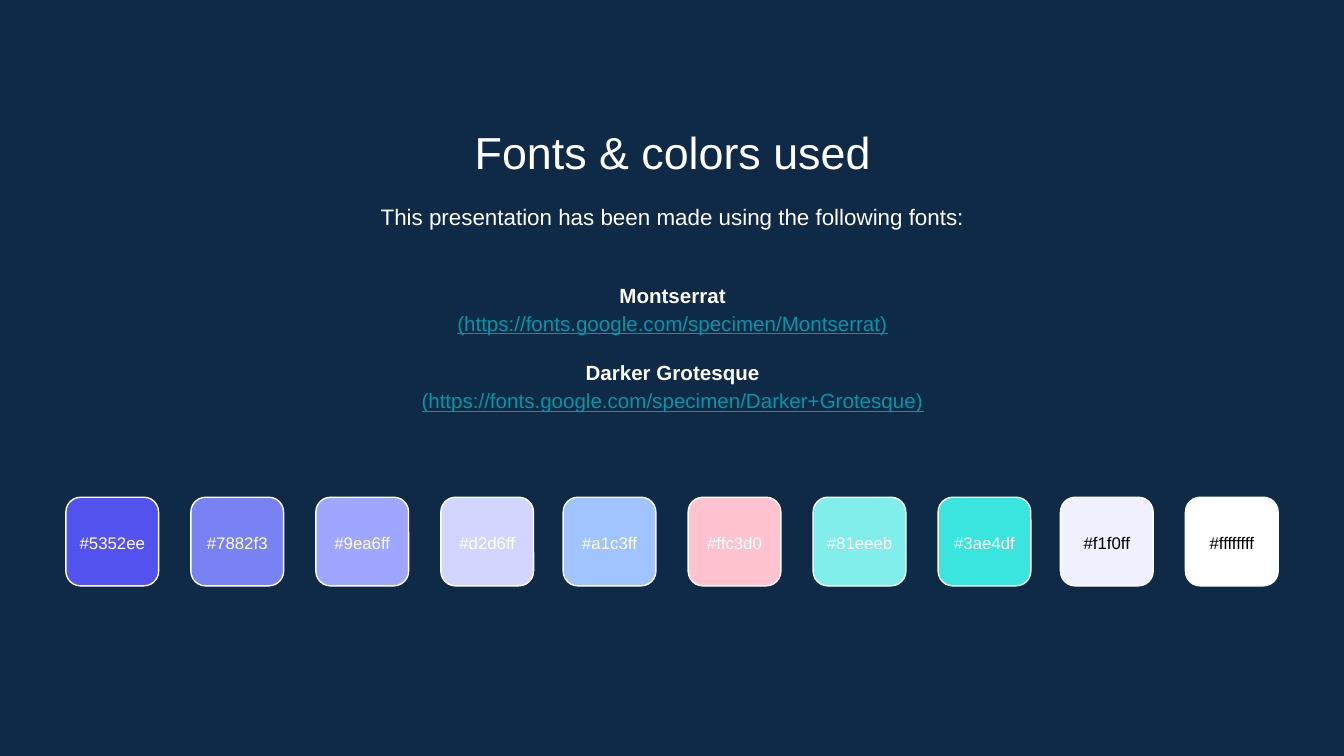
import dataclasses

import pptx
import pptx.dml.color
import pptx.enum.shapes
import pptx.enum.text
import pptx.util
import lxml.etree

COLUMNS, ROWS = 100, 56.25
ALIGN = pptx.enum.text.PP_ALIGN
ANCHOR = pptx.enum.text.MSO_ANCHOR

FONTS = [
    ("Montserrat", "(https://fonts.google.com/specimen/Montserrat)"),
    ("Darker Grotesque", "(https://fonts.google.com/specimen/Darker+Grotesque)"),
]
SWATCH_GROUPS = [
    ["#5352ee", "#7882f3", "#9ea6ff", "#d2d6ff"],
    ["#a1c3ff", "#ffc3d0", "#81eeeb", "#3ae4df"],
    ["#f1f0ff", "#ffffffff"],
]


@dataclasses.dataclass(frozen=True)
class Theme:
    font: str = "Arial"
    background: str = "0E2A47"
    light: str = "FFFFFF"
    dark: str = "000000"
    link: str = "0097A7"
    title_size: int = 24
    intro_size: int = 12
    list_size: int = 11
    label_size: int = 9
    line_spacing: float = 1.15
    font_gap: int = 11
    outline: float = 0.75


@dataclasses.dataclass(frozen=True)
class Box:
    """An area of the slide, in EMU."""
    left: int
    top: int
    width: int
    height: int

    def cells(self, column, row, columns, rows, across=COLUMNS, down=ROWS):
        """The part of this box that covers the given cells of its grid."""
        return Box(
            self.left + round(self.width * column / across),
            self.top + round(self.height * row / down),
            round(self.width * columns / across),
            round(self.height * rows / down),
        )

    def place(self, shape):
        shape.left, shape.top = self.left, self.top
        shape.width, shape.height = self.width, self.height


THEME = Theme()


def rgb(value):
    return pptx.dml.color.RGBColor.from_string(value)


def prepare_frame(shape, anchor, wrap=True):
    frame = shape.text_frame
    frame.auto_size = pptx.enum.text.MSO_AUTO_SIZE.NONE
    frame.word_wrap = wrap
    frame.vertical_anchor = anchor
    frame.margin_left = frame.margin_right = pptx.util.Inches(0.1)
    frame.margin_top = frame.margin_bottom = pptx.util.Inches(0.1)
    return frame


def write(para, text, size, color=THEME.light, spacing=1.0, before=0,
          bold=False, underline=False):
    """Fill a paragraph with one centred run and no bullet."""
    properties = para._p.get_or_add_pPr()
    properties.set("marL", "0")
    properties.set("indent", "0")
    lxml.etree.SubElement(properties, pptx.oxml.ns.qn("a:buNone"))
    para.alignment = ALIGN.CENTER
    para.line_spacing = spacing
    para.space_before = pptx.util.Pt(before)
    para.space_after = pptx.util.Pt(0)
    span = para.add_run()
    span.text = text
    span.font.name = THEME.font
    span.font.size = pptx.util.Pt(size)
    span.font.color.rgb = rgb(color)
    span.font.bold = bold
    span.font.underline = underline


def add_heading(title, intro, box):
    box.cells(0, 0, 1, 5.3, 1, 10.3).place(title)
    box.cells(0, 5.5, 1, 4.8, 1, 10.3).place(intro)
    write(prepare_frame(title, ANCHOR.TOP).paragraphs[0],
          "Fonts & colors used", THEME.title_size)
    write(prepare_frame(intro, ANCHOR.TOP).paragraphs[0],
          "This presentation has been made using the following fonts:",
          THEME.intro_size, spacing=THEME.line_spacing)


def add_font_list(body, box):
    box.place(body)
    frame = prepare_frame(body, ANCHOR.MIDDLE)
    for index, (name, address) in enumerate(FONTS):
        para = frame.add_paragraph() if index else frame.paragraphs[0]
        write(para, name, THEME.list_size, spacing=THEME.line_spacing,
              before=THEME.font_gap if index else 0, bold=True)
        write(frame.add_paragraph(), address, THEME.list_size, THEME.link,
              spacing=THEME.line_spacing, underline=True)


def add_swatch(shapes, label, text_color, box):
    swatch = shapes.add_shape(
        pptx.enum.shapes.MSO_SHAPE.ROUNDED_RECTANGLE,
        box.left, box.top, box.width, box.height)
    swatch.shadow.inherit = False
    swatch.fill.solid()
    swatch.fill.fore_color.rgb = rgb(label[1:7].upper())
    swatch.line.color.rgb = rgb(THEME.light)
    swatch.line.width = pptx.util.Pt(THEME.outline)
    area = box.cells(0, 1.4, 1, 3.9, 1, 6.6)
    caption = shapes.add_textbox(area.left, area.top, area.width, area.height)
    frame = prepare_frame(caption, ANCHOR.MIDDLE, wrap=False)
    write(frame.paragraphs[0], label, THEME.label_size, text_color)


def add_palette(page, box):
    """Groups start every 37 columns, swatches every 9.3 within a group."""
    for group_index, labels in enumerate(SWATCH_GROUPS):
        last = group_index == len(SWATCH_GROUPS) - 1
        group = page.shapes.add_group_shape()
        for index, label in enumerate(labels):
            area = box.cells(37 * group_index + 9.3 * index, 0, 6.9, 1, 90.2, 1)
            add_swatch(group.shapes, label,
                       THEME.dark if last else THEME.light, area)


def build_fonts_page(deck):
    page = deck.slides.add_slide(deck.slide_layouts.get_by_name("Two Content"))
    page.background.fill.solid()
    page.background.fill.fore_color.rgb = rgb(THEME.background)
    whole = Box(0, 0, deck.slide_width, deck.slide_height)
    title, intro, body = list(page.placeholders)[:3]
    add_heading(title, intro, whole.cells(11.5, 8.3, 77.1, 10.3))
    add_font_list(body, whole.cells(11.5, 18.9, 77.1, 13.7))
    add_palette(page, whole.cells(4.9, 37, 90.2, 6.6))


def main():
    deck = pptx.Presentation()
    deck.slide_width = pptx.util.Inches(10)
    deck.slide_height = deck.slide_width * 9 // 16
    build_fonts_page(deck)
    deck.save("out.pptx")


if __name__ == "__main__":
    main()
